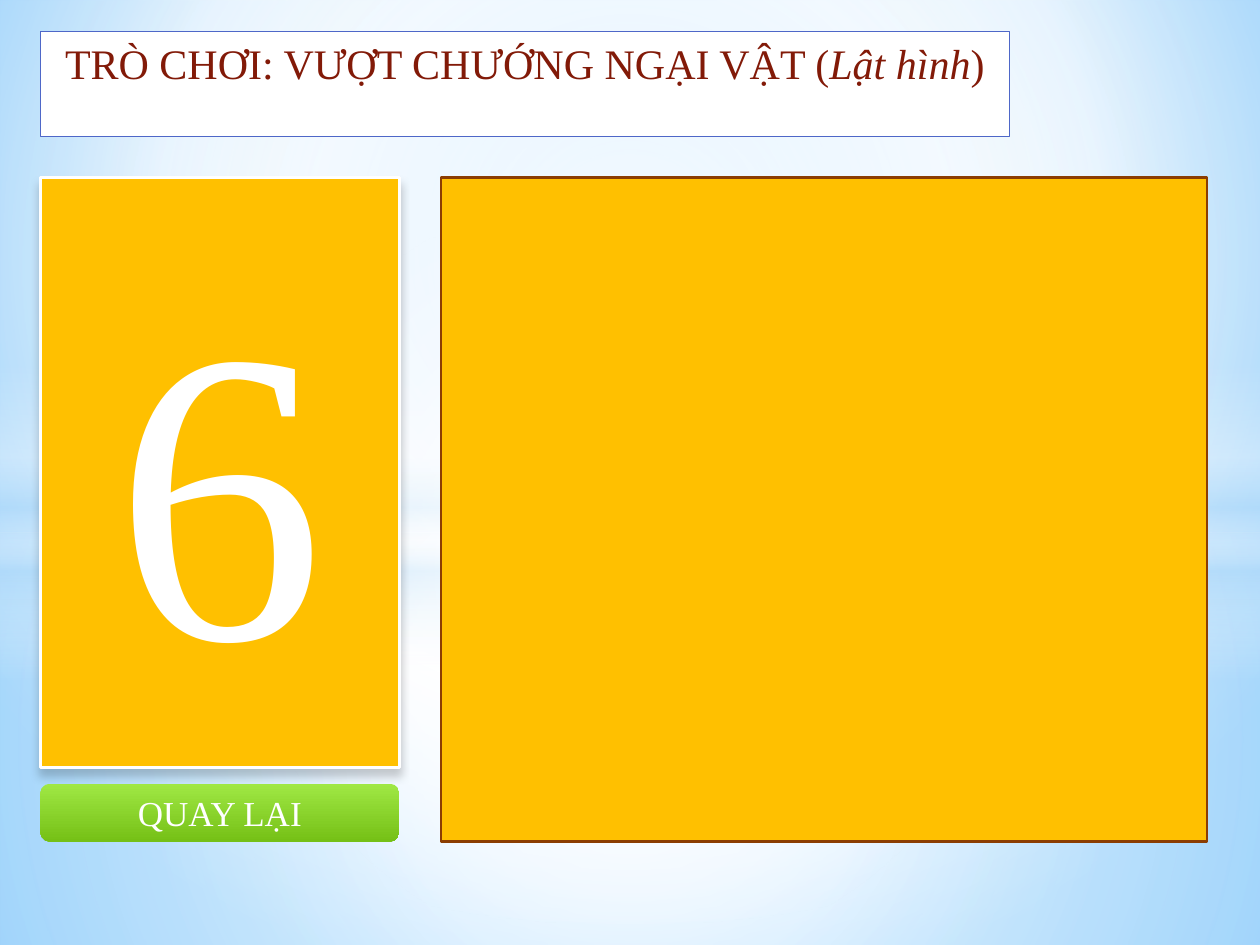
from pptx import Presentation
from pptx.dml.color import RGBColor
from pptx.enum.shapes import MSO_SHAPE as SHAPE
from pptx.enum.text import MSO_ANCHOR as ANCHOR, MSO_AUTO_SIZE as AUTO, PP_ALIGN as ALIGN
from pptx.oxml import parse_xml
from pptx.oxml.ns import nsdecls, qn
from pptx.util import Inches, Pt

LEFT, CARD_W = 0.32, 2.85
TOP, BOTTOM = 1.41, 6.68
BUTTON_H = 0.46
AMBER = "FFC000"
CENTER = (50, 50, 50, 50)


def rgb(value):
    return RGBColor.from_string(value)


def color_xml(color, alpha=100):
    return f'<a:srgbClr val="{color}"><a:alpha val="{alpha * 1000}"/></a:srgbClr>'


def apply_gradient(parent, stops, focus=None):
    """Replace the solid fill in parent: radial around focus, else top to bottom."""
    gs = "".join(f'<a:gs pos="{pos * 1000}">{color_xml(*color)}</a:gs>' for pos, *color in stops)
    if focus:
        sides = " ".join(f'{side}="{v * 1000}"' for side, v in zip("ltrb", focus))
        shade = f'<a:path path="circle"><a:fillToRect {sides}/></a:path>'
    else:
        shade = '<a:lin ang="5400000" scaled="0"/>'
    xml = f'<a:gradFill {nsdecls("a")} rotWithShape="1"><a:gsLst>{gs}</a:gsLst>{shade}</a:gradFill>'
    parent.replace(parent.find(qn("a:solidFill")), parse_xml(xml))


class GameSlide:
    font = "Times New Roman"

    def __init__(self, prs):
        self.s = prs.slides.add_slide(prs.slide_layouts[5])

    def background(self, stops, focus):
        self.s.background.fill.solid()
        apply_gradient(self.s.element.find(".//" + qn("p:bgPr")), stops, focus)

    def style(self, sp, fill, line=None):
        sp.fill.solid()
        sp.fill.fore_color.rgb = rgb(fill)
        if line:
            sp.line.color.rgb = rgb(line[0])
            sp.line.width = Pt(line[1])
        else:
            sp.line.fill.background()

    def shape(self, kind, box, fill="FFFFFF", line=None, stops=None, focus=None):
        sp = self.s.shapes.add_shape(kind, *map(Inches, box))
        sp.shadow.inherit = False
        self.style(sp, fill, line)
        if stops:
            apply_gradient(sp.element.spPr, stops, focus)
        return sp

    def drop_shadow(self, sp, color, alpha, blur, distance):
        sp.element.spPr.find(qn("a:effectLst")).append(parse_xml(
            f'<a:outerShdw {nsdecls("a")} blurRad="{Pt(blur)}" dist="{Pt(distance)}" '
            f'dir="5400000" rotWithShape="0">{color_xml(color, alpha)}</a:outerShdw>'))

    def text(self, sp, runs, size, color="FFFFFF", anchor=ANCHOR.MIDDLE):
        tf = sp.text_frame
        tf.word_wrap = True
        tf.vertical_anchor = anchor
        p = tf.paragraphs[0]
        p.alignment = ALIGN.CENTER
        for words, italic in runs:
            r = p.add_run()
            r.text = words
            r.font.color.rgb = rgb(color)
            formats = {"name": self.font, "size": Pt(size), "italic": italic}
            for name, value in formats.items():
                setattr(r.font, name, value)

    def title(self, box, runs, size, color, line):
        sp = self.s.shapes.title
        sp.left, sp.top, sp.width, sp.height = map(Inches, box)
        self.style(sp, "FFFFFF", line)
        self.text(sp, runs, size, color, ANCHOR.TOP)
        sp.text_frame.auto_size = AUTO.SHAPE_TO_FIT_TEXT
        self.s.shapes.element.append(sp.element)  # in front of the backdrop


def main():
    prs = Presentation()
    prs.slide_width, prs.slide_height = Inches(10), Inches(7.5)
    game = GameSlide(prs)

    game.background([(0, "9ED5FF"), (60, "FFFFFF"), (100, "5BB9FF")], (20, 10, 20, 60))
    backdrop = [
        (SHAPE.RECTANGLE, (0, 4.23, 10, 3.27), CENTER,
         [(0, "FFFFFF", 91), (37, "FFFFFF", 76), (100, "B4DCFA", 79)]),
        (SHAPE.RECTANGLE, (0, 0, 10, 4.23), CENTER,
         [(0, "FFFFFF", 89), (48, "FFFFFF", 62), (100, "B4DCFA", 79)]),
        (SHAPE.RECTANGLE, (0, 2.9, 10, 2.5), None,
         [(0, "FFFFFF", 0), (29, "FFFFFF", 30), (45, "B4DCFA", 40),
          (55, "FFFFFF", 26), (65, "B4DCFA", 60), (100, "FFFFFF", 0)]),
        (SHAPE.OVAL, (0, 1.75, 10, 5.58), CENTER, [(0, "FFFFFF"), (54, "FFFFFF", 0)]),
    ]
    for kind, box, focus, stops in backdrop:
        game.shape(kind, box, stops=stops, focus=focus)

    heading = [("TRÒ CHƠI: VƯỢT CHƯỚNG NGẠI VẬT (", False), ("Lật hình", True), (")", False)]
    game.title((LEFT, 0.25, 7.69, 0.5), heading, 24, "821A08", ("4E67C8", 0.75))

    button = game.shape(SHAPE.ROUNDED_RECTANGLE, (LEFT, BOTTOM - BUTTON_H, CARD_W, BUTTON_H),
                        stops=[(0, "A0E844"), (100, "75C016")])
    game.text(button, [("QUAY LẠI", False)], 20)

    card = game.shape(SHAPE.RECTANGLE, (LEFT, TOP, CARD_W, 4.68), AMBER, ("FFFFFF", 2))
    game.drop_shadow(card, "000000", 20, 5, 4)
    game.text(card, [("6", False)], 239)

    game.shape(SHAPE.RECTANGLE, (3.5, TOP, 6.08, BOTTOM - TOP), AMBER, ("8B3D02", 1.25))
    prs.save("out.pptx")


if __name__ == "__main__":
    main()
